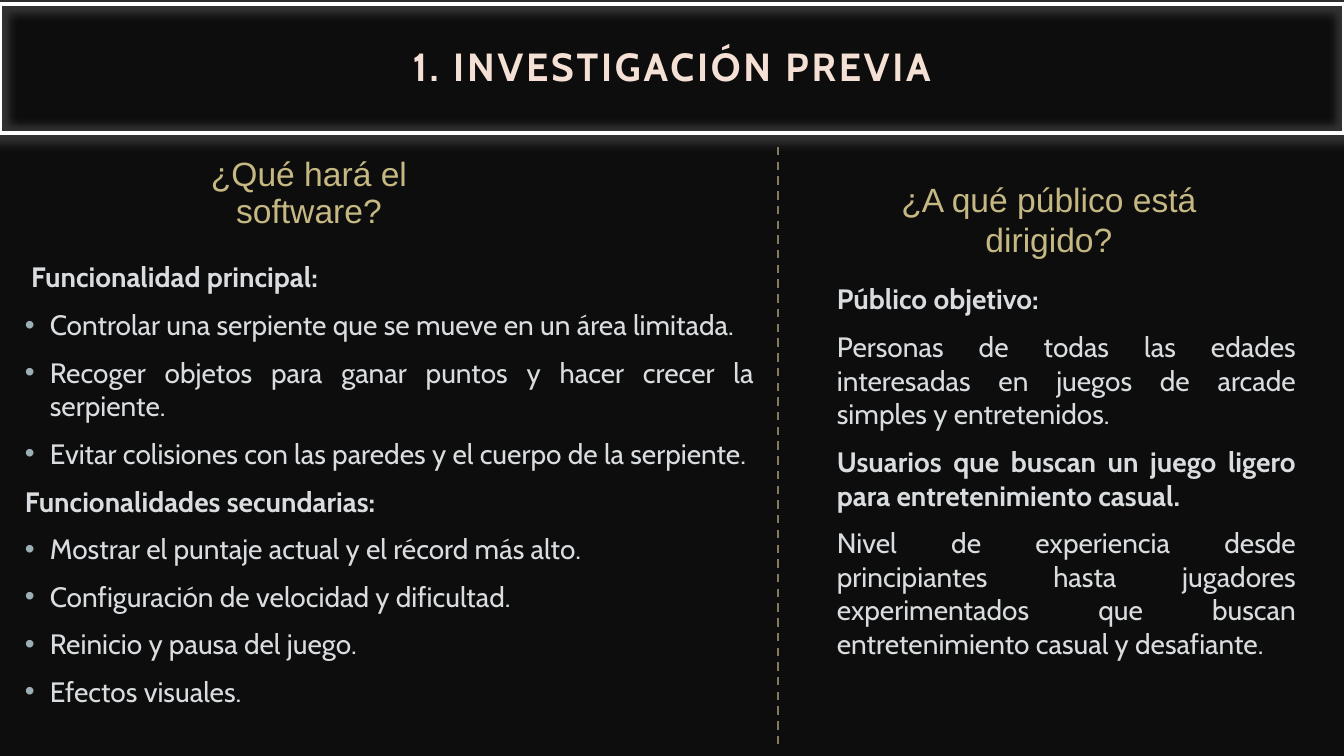
from lxml import etree
from pptx import Presentation
from pptx.dml.color import RGBColor
from pptx.enum.dml import MSO_LINE
from pptx.enum.shapes import MSO_CONNECTOR
from pptx.enum.text import MSO_ANCHOR, MSO_AUTO_SIZE, PP_ALIGN
from pptx.oxml.ns import qn
from pptx.util import Pt

CENTER, JUSTIFY = PP_ALIGN.CENTER, PP_ALIGN.JUSTIFY
MIDDLE = MSO_ANCHOR.MIDDLE
NO_FIT = MSO_AUTO_SIZE.NONE
STRAIGHT = MSO_CONNECTOR.STRAIGHT
DASH = MSO_LINE.DASH

EMU_PER_PX = 914400 / 100.8
BACKGROUND, WHITE, CREAM = "0D0D0D", "FFFFFF", "F5E0D5"
GOLD, LIGHT, BULLET, DIVIDER = "C5B883", "D9DDDF", "9BAFB5", "87795D"

# Each paragraph is (kind, text); kinds are "bold", "plain" and "bullet"
FEATURES = [
    ("bold", " Funcionalidad principal:"),
    ("bullet", "Controlar una serpiente que se mueve en un área limitada."),
    ("bullet", "Recoger objetos para ganar puntos y hacer crecer la serpiente."),
    ("bullet", "Evitar colisiones con las paredes y el cuerpo de la serpiente."),
    ("bold", "Funcionalidades secundarias:"),
    ("bullet", "Mostrar el puntaje actual y el récord más alto."),
    ("bullet", "Configuración de velocidad y dificultad."),
    ("bullet", "Reinicio y pausa del juego."),
    ("bullet", "Efectos visuales."),
]
AUDIENCE = [
    ("bold", "Público objetivo:"),
    ("plain", "Personas de todas las edades interesadas en juegos de arcade "
              "simples y entretenidos."),
    ("bold", "Usuarios que buscan un juego ligero para entretenimiento casual."),
    ("plain", "Nivel de experiencia desde principiantes hasta jugadores "
              "experimentados que buscan entretenimiento casual y desafiante."),
]


def px(n):
    return round(n * EMU_PER_PX)


def rgb(color):
    return RGBColor.from_string(color)


def format_paragraph(p, font, size, color, align, bold=False, before=10, spacing=1.0):
    p.alignment = align
    p.space_before = Pt(before)
    p.line_spacing = spacing
    p.font.name = font
    p.font.size = Pt(size)
    p.font.bold = bold
    p.font.color.rgb = rgb(color)


def add_bullet(p):
    pPr = p._p.get_or_add_pPr()
    pPr.set("marL", str(px(25)))
    pPr.set("indent", str(-px(25)))
    # Bullet elements come before the default run properties
    defRPr = pPr.find(qn("a:defRPr"))
    buClr = etree.Element(qn("a:buClr"))
    etree.SubElement(buClr, qn("a:srgbClr"), val=BULLET)
    marks = [buClr, etree.Element(qn("a:buFont"), typeface="Arial"),
             etree.Element(qn("a:buChar"), char="•")]
    for mark in marks:
        defRPr.addprevious(mark)


def add_glow(sp, radius, color, alpha):
    effects = etree.SubElement(sp._element.spPr, qn("a:effectLst"))
    glow = etree.SubElement(effects, qn("a:glow"), rad=str(px(radius)))
    clr = etree.SubElement(glow, qn("a:srgbClr"), val=color)
    etree.SubElement(clr, qn("a:alpha"), val=str(alpha * 1000))


def set_title(s, text):
    sp = s.shapes.title
    sp.left, sp.top, sp.width, sp.height = px(0), px(4), px(1344), px(129)
    sp.fill.background()
    sp.line.color.rgb = rgb(WHITE)
    sp.line.width = Pt(2.5)
    add_glow(sp, 18, WHITE, 15)
    tf = sp.text_frame
    tf.text = text
    tf.word_wrap = True
    tf.auto_size = NO_FIT
    tf.vertical_anchor = MIDDLE
    tf.margin_left = tf.margin_right = tf.margin_top = tf.margin_bottom = px(20)
    p = tf.paragraphs[0]
    format_paragraph(p, "Cabin", 28, CREAM, CENTER, bold=True, before=0, spacing=0.9)
    p.runs[0].font._element.set("spc", "200")


def add_text_frame(s, x, y, w, h):
    tf = s.shapes.add_textbox(px(x), px(y), px(w), px(h)).text_frame
    tf.word_wrap = True
    return tf


def add_heading(s, x, y, text, spacing):
    tf = add_text_frame(s, x, y, 364, 85)
    tf.text = text
    format_paragraph(tf.paragraphs[0], "Arial", 24, GOLD, CENTER, spacing=spacing)


def add_body(s, x, y, w, h, items):
    tf = add_text_frame(s, x, y, w, h)
    for i, (kind, text) in enumerate(items):
        p = tf.add_paragraph() if i else tf.paragraphs[0]
        p.text = text
        format_paragraph(p, "Cabin", 20, LIGHT, JUSTIFY, bold=kind == "bold")
        if kind == "bullet":
            add_bullet(p)


def add_divider(s, x, top, bottom):
    line = s.shapes.add_connector(STRAIGHT, px(x), px(top), px(x), px(bottom))
    line.line.color.rgb = rgb(DIVIDER)
    line.line.width = Pt(1.5)
    line.line.dash_style = DASH
    etree.SubElement(line._element.spPr, qn("a:effectLst"))


def main():
    prs = Presentation()
    prs.slide_width, prs.slide_height = px(1344), px(756)
    s = prs.slides.add_slide(prs.slide_layouts[5])
    s.background.fill.solid()
    s.background.fill.fore_color.rgb = rgb(BACKGROUND)

    set_title(s, "1. INVESTIGACIÓN PREVIA")

    # Left column: what the software does
    add_heading(s, 127, 153, "¿Qué hará el software?", 0.9)
    add_body(s, 15, 255, 749, 530, FEATURES)

    # Right column: who it is for
    add_heading(s, 867, 174, "¿A qué público está dirigido?", 1.0)
    add_body(s, 827, 277, 479, 487, AUDIENCE)

    add_divider(s, 778, 147, 746)
    prs.save("out.pptx")


if __name__ == "__main__":
    main()
